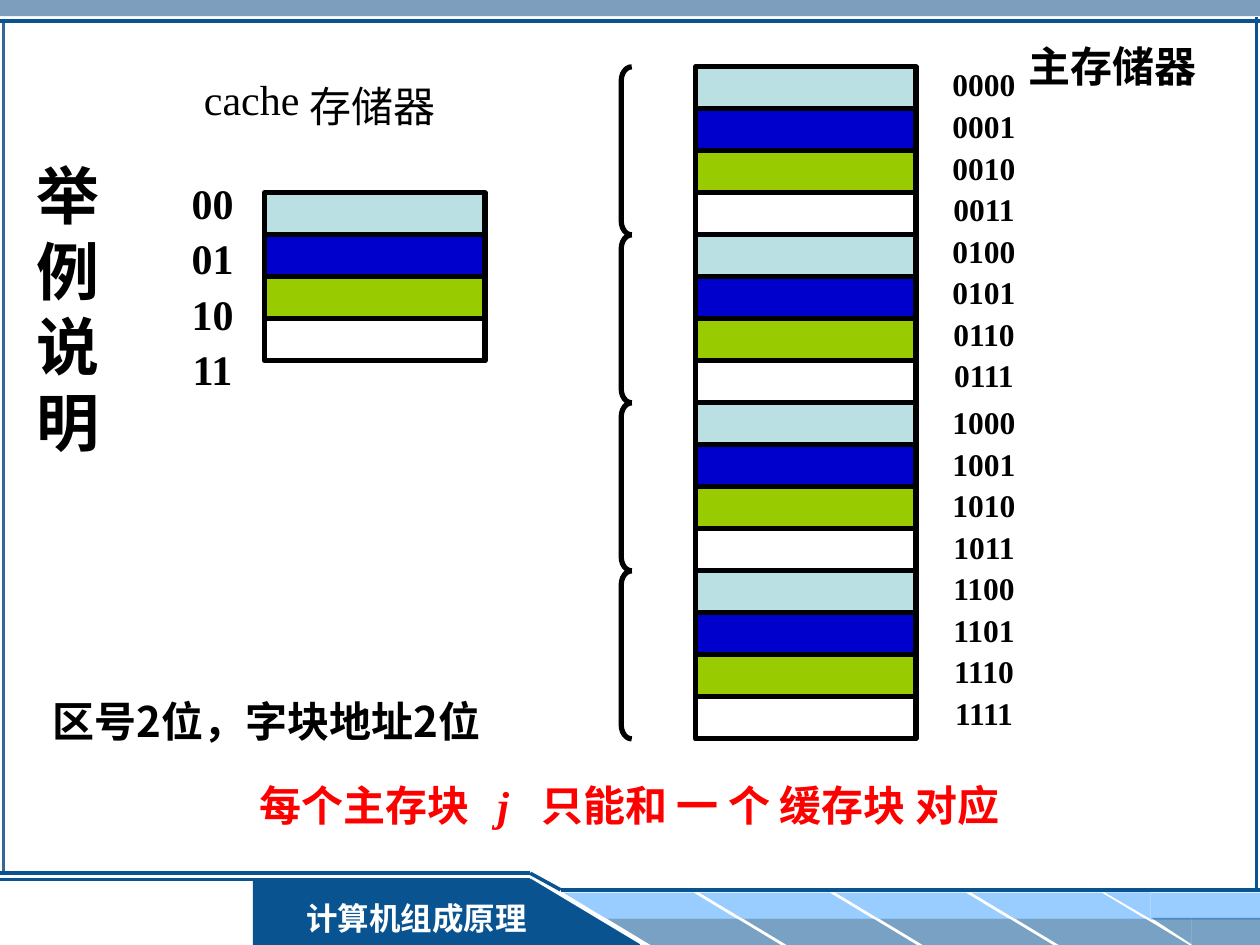
from lxml.etree import SubElement
from pptx import Presentation
from pptx.dml.color import RGBColor
from pptx.enum.shapes import MSO_CONNECTOR, MSO_SHAPE as Kind
from pptx.enum.text import MSO_ANCHOR, MSO_AUTO_SIZE, PP_ALIGN as Align
from pptx.oxml.ns import qn
from pptx.util import Pt

COLORS = {"steel": "336699", "navy": "095391", "sky": "99CCFF", "white": "FFFFFF",
          "black": "000000", "red": "FF0000", "pale": "BBE0E3", "blue": "0000CC",
          "green": "99CC00"}
BLOCKS = ["pale", "blue", "green", "white"]
LATIN, HAN = "Times New Roman", "Noto Sans CJK SC"
CELL = 24


def rgb(name):
    """Return the named colour."""
    return RGBColor.from_string(COLORS[name])


def add_block(page, kind, box, fill=None, line=None, width=3, opacity=100, adjust=None, flip=False):
    """Add a preset shape in box (left, top, width, height)."""
    shape = page.shapes.add_shape(kind, *map(Pt, box))
    shape.shadow.inherit = False
    if fill:
        shape.fill.solid()
        shape.fill.fore_color.rgb = rgb(fill)
        if opacity < 100:
            color = shape.fill._xPr.find(qn("a:solidFill"))[0]
            SubElement(color, qn("a:alpha"), val=str(opacity * 1000))
    else:
        shape.fill.background()
    if line:
        shape.line.color.rgb = rgb(line)
        shape.line.width = Pt(width)
    else:
        shape.line.fill.background()
    if adjust is not None:
        shape.adjustments[0] = adjust
    if flip:
        shape._element.spPr.find(qn("a:xfrm")).set("flipH", "1")
    return shape


def add_rule(page, start, end, color="navy", width=2):
    """Add a straight line."""
    rule = page.shapes.add_connector(MSO_CONNECTOR.STRAIGHT, *map(Pt, start + end))
    rule.line.color.rgb = rgb(color)
    rule.line.width = Pt(width)
    SubElement(rule._element.spPr, qn("a:effectLst"))


def write(shape, lines, size=24, font=LATIN, color="black", bold=True, align=Align.LEFT,
          spacing=1.2, inset=(0, 0), wrap=False, tabs=()):
    """Fill a shape with lines, each a string or a list of (text, italic) spans."""
    frame = shape.text_frame
    frame.word_wrap = wrap
    frame.auto_size = MSO_AUTO_SIZE.NONE
    frame.vertical_anchor = MSO_ANCHOR.TOP
    frame.margin_left = frame.margin_right = Pt(inset[0])
    frame.margin_top = frame.margin_bottom = Pt(inset[1])
    for index, line in enumerate(lines):
        para = frame.add_paragraph() if index else frame.paragraphs[0]
        if tabs:
            stops = SubElement(para._p.get_or_add_pPr(), qn("a:tabLst"))
            for stop in tabs:
                SubElement(stops, qn("a:tab"), pos=str(Pt(stop)), algn="l")
        para.alignment = align
        para.line_spacing = Pt(round(size * spacing, 2))
        for text, italic in [(line, False)] if isinstance(line, str) else line:
            span = para.add_run()
            span.text = text
            span.font.size = Pt(size)
            span.font.name = font
            span.font.bold = bold
            span.font.italic = italic
            span.font.color.rgb = rgb(color)
            SubElement(span._r.get_or_add_rPr(), qn("a:ea"), typeface=HAN)


def add_text(page, box, lines, **style):
    """Add a text box in box (left, top, width, height)."""
    write(page.shapes.add_textbox(*map(Pt, box)), lines, **style)


def draw_frame(page, box):
    """Draw the top band and the border lines."""
    left, top, width, height = box
    add_block(page, Kind.RECTANGLE, (left, top, width, 9.3), "steel", opacity=63)
    add_rule(page, (left + 2, top + 11), (left + 2, top + height), "steel")
    add_rule(page, (left, top + 12), (left + width, top + 12))
    add_rule(page, (left + width - 2, top + 10), (left + width - 2, top + height + 10))


def draw_footer(page, box):
    """Draw the course name plate and the slanted strips."""
    left, top, width, height = box
    plate, step, low = top + 3.5, top + 9.5, top + 26
    bottom, bend, end = top + height, left + 303, left + width
    add_block(page, Kind.RECTANGLE, (left + 144.6, plate, 158.4, bottom - plate), "navy")
    add_rule(page, (left + 365.5, bottom), (bend, plate), width=1)
    add_rule(page, (bend, plate), (left, plate), width=1.5)
    add_rule(page, (left, top), (bend, top))
    for index in range(4):
        x = left + 321.8 + 77.76 * index
        for shift, y, fill, opacity in ((0, top + 11, "sky", 100), (25.2, low, "navy", 54)):
            add_block(page, Kind.PARALLELOGRAM, (x + shift, y, 99.4, 15.1), fill,
                      opacity=opacity, adjust=1.657, flip=True)
    for x, corner, y, fill, opacity in ((657.4, 631.4, top + 11, "sky", 100),
                                        (681, 658, low - 0.5, "navy", 54)):
        add_block(page, Kind.RECTANGLE, (left + x, y, end - left - x, 15.5), fill, opacity=opacity)
        triangle = add_block(page, Kind.RIGHT_TRIANGLE, (left + corner, y, x - corner, 15.1),
                             fill, opacity=opacity)
        triangle.rotation = 180
    add_rule(page, (left + 320.4, step), (end, step))
    name = add_block(page, Kind.RECTANGLE, (left + 164.2, top + 11, 147.6, 28.8), "navy")
    write(name, ["计算机组成原理"], size=18, color="white", align=Align.CENTER,
          inset=(7.2, 3.6), wrap=True)
    add_block(page, Kind.RIGHT_TRIANGLE, (left + 302.4, plate, 63, bottom - plate), "navy")
    add_rule(page, (bend, top), (left + 320.4, step))


def draw_memory(page, box, zones):
    """Stack the four coloured blocks once for each zone."""
    left, top, width = box
    for index, fill in enumerate(BLOCKS * zones):
        add_block(page, Kind.RECTANGLE, (left, top + CELL * index, width, CELL), fill, "black")


def draw_brackets(page, box, zones):
    """Draw one bracket beside each zone."""
    left, top, width = box
    height = CELL * len(BLOCKS)
    for index in range(zones):
        add_block(page, Kind.LEFT_BRACKET, (left, top + height * index, width, height),
                  line="black", adjust=1.33)


def list_addresses(page, box, numbers, digits, size):
    """List binary addresses in a centred column."""
    add_text(page, box, [f"{number:0{digits}b}" for number in numbers], size=size,
             align=Align.CENTER, spacing=1.32, inset=(7.2, 3.6))


def draw_title(page, box):
    """Place the title as a column of single characters."""
    title = page.shapes.title
    title.left, title.top, title.width, title.height = map(Pt, box)
    write(title, list("举例说明"), size=36, font="Arial")


def draw_captions(page):
    """Write the captions and the two statements."""
    add_text(page, (116.6, 41.8, 54.7, 28.8), ["cache"], bold=False)
    add_text(page, (177.1, 46, 72, 28.8), ["存储器"], font=HAN, bold=False)
    add_text(page, (587.5, 23, 96, 28.8), ["主存储器"], font=HAN)
    add_text(page, (23, 393.8, 282.2, 36), ["区号2位，字块地址2位"], font=HAN, inset=(7.2, 3.6))
    statement = [("每个主存块\t", False), ("j\t", True), ("只能和 一 个 缓存块 对应", False)]
    add_text(page, (141.1, 442, 478, 36), [statement], color="red", inset=(7.2, 3.6),
             wrap=True, tabs=(136, 161))


def main():
    """Build and save the slide."""
    deck = Presentation()
    deck.slide_width, deck.slide_height = Pt(720), Pt(540)
    page = deck.slides.add_slide(deck.slide_layouts[5])
    draw_frame(page, (0, 0, 720, 499))
    draw_footer(page, (0, 499, 720, 41))
    draw_title(page, (20.9, 89.5, 36, 172.8))
    draw_memory(page, (151.2, 110.2, 126), 1)
    draw_memory(page, (397.4, 38.2, 126), 4)
    draw_brackets(page, (355, 38.2, 6), 4)
    list_addresses(page, (99.5, 95, 43.9, 133.9), range(4), 2, 24)
    list_addresses(page, (537.1, 31.7, 50.4, 197.3), range(8), 4, 18)
    list_addresses(page, (537.1, 224.6, 50.4, 197.3), range(8, 16), 4, 18)
    draw_captions(page)
    deck.save("out.pptx")


if __name__ == "__main__":
    main()
